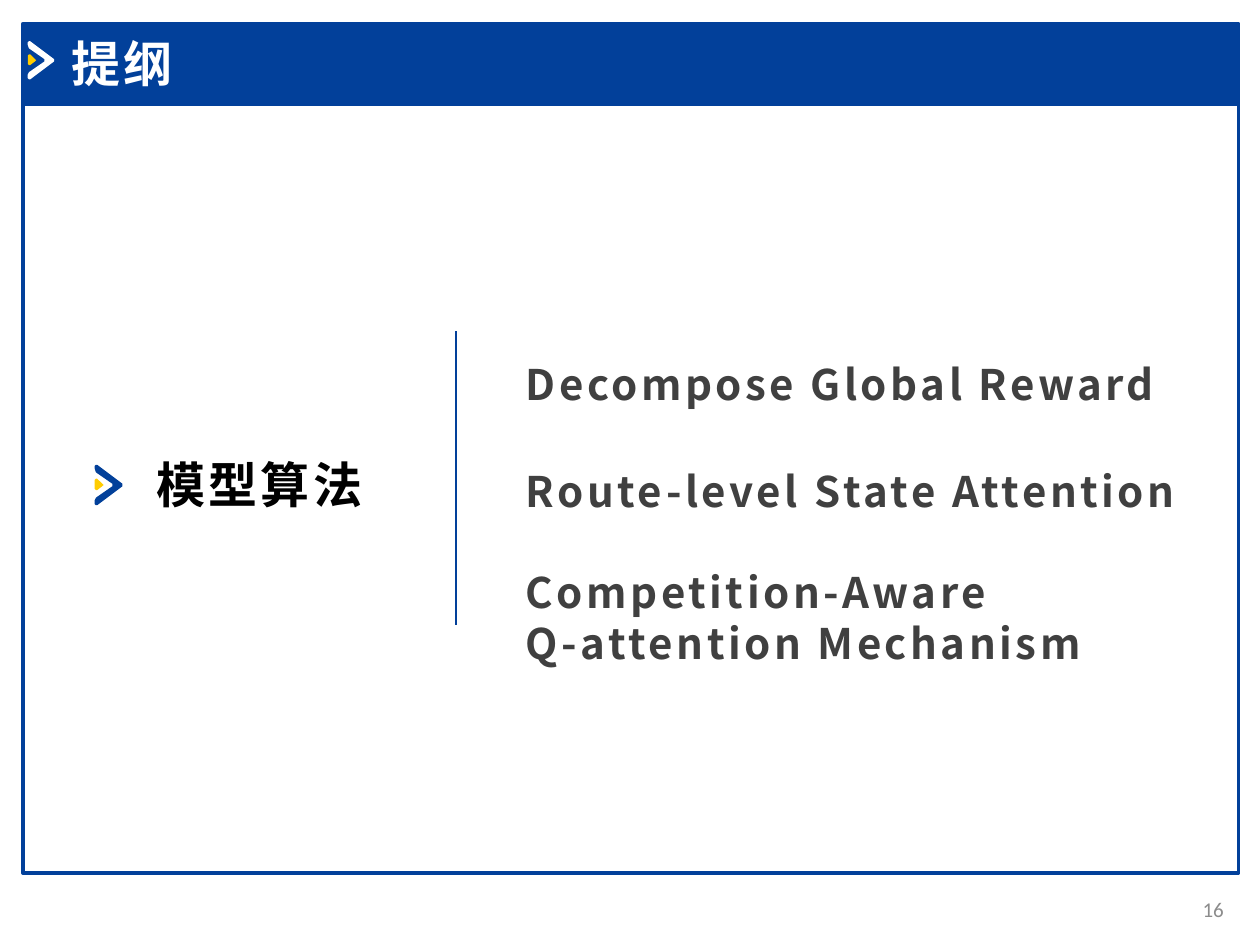
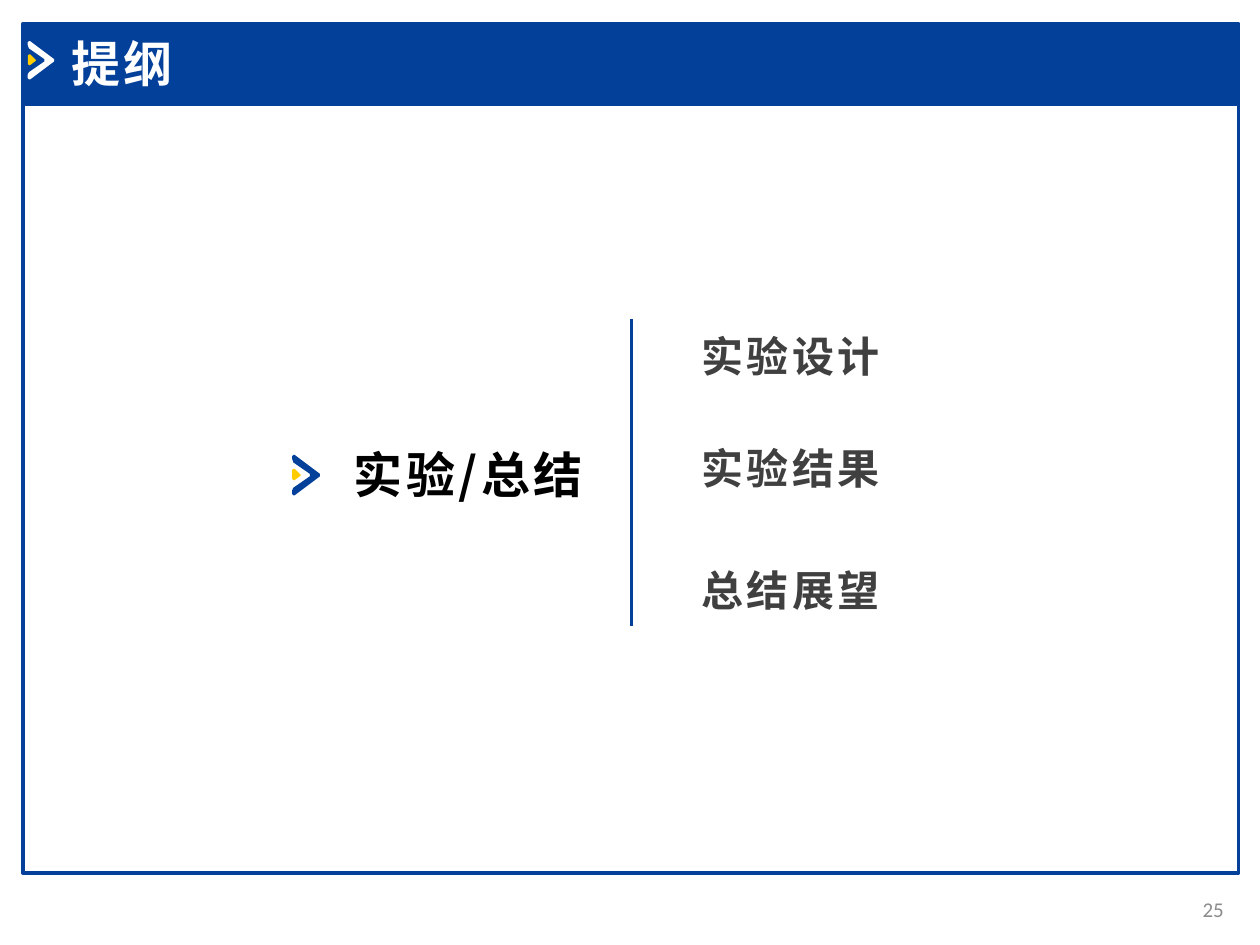
import dataclasses
import typing

import lxml.etree
import pptx
import pptx.dml.color
import pptx.enum.shapes
import pptx.enum.text
import pptx.oxml.ns
import pptx.util

Cm = pptx.util.Cm
Pt = pptx.util.Pt

COLOURS = {
    "blue": "02409A",
    "yellow": "FFCC00",
    "white": "FFFFFF",
    "black": "000000",
    "charcoal": "404040",
    "grey": "8C8C8C",
}
ASIAN_FONT = "Noto Sans CJK SC"
CHEVRON_WING = [
    (1, 0), (0, 1), (0, 3), (1, 6), (14, 15), (14, 17), (1, 26),
    (0, 28), (0, 31), (1, 32), (2, 32), (22, 17), (22, 15), (2, 0),
]
CHEVRON_CORE = [(1, 11), (0, 12), (0, 19), (1, 20), (2, 20), (6, 17), (7, 16), (6, 15), (2, 11)]
CHEVRON_UNITS = 22


@dataclasses.dataclass(frozen=True)
class TextStyle:
    font: str
    size: int
    colour: str
    bold: bool = True
    tracking: int = 2


@dataclasses.dataclass(frozen=True)
class Area:
    left: float
    top: float
    width: float
    height: float

    def lengths(self) -> list[int]:
        return [Cm(value) for value in dataclasses.astuple(self)]


@dataclasses.dataclass(frozen=True)
class Item:
    top: float
    lines: tuple[str, ...]


@dataclasses.dataclass(frozen=True)
class Outline:
    number: int
    topic: str
    topic_left: float
    topic_top: float
    rule_left: float
    rule_top: float
    rule_bottom: float
    item_width: float
    items: tuple[Item, ...]


TITLE = TextStyle("Calibri", 28, "white")
TOPIC = TextStyle(ASIAN_FONT, 28, "black")
ITEM = TextStyle(ASIAN_FONT, 24, "charcoal")
PAGE_NUMBER = TextStyle("Calibri", 12, "grey", bold=False, tracking=0)

OUTLINES = [
    Outline(16, "模型算法", 2.9, 9.04, 9.19, 6.68, 12.6, 14.9, (
        Item(7.11, ("Decompose Global Reward",)),
        Item(9.25, ("Route-level State Attention",)),
        Item(11.3, ("Competition-Aware", "Q-attention Mechanism")),
    )),
    Outline(25, "实验/总结", 6.88, 8.84, 12.73, 6.43, 12.62, 7, (
        Item(6.53, ("实验设计",)),
        Item(8.79, ("实验结果",)),
        Item(11.25, ("总结展望",)),
    )),
]


def rgb(colour: str) -> pptx.dml.color.RGBColor:
    return pptx.dml.color.RGBColor.from_string(COLOURS[colour])


def apply(target: typing.Any, values: dict[str, typing.Any]) -> None:
    for name, value in values.items():
        setattr(target, name, value)


def add_text(page, area: Area, lines: tuple[str, ...], style: TextStyle, **frame_format) -> typing.Any:
    box = page.shapes.add_textbox(*area.lengths())
    frame = box.text_frame
    apply(frame, {"word_wrap": True, **frame_format})
    for index, line in enumerate(lines):
        para = frame.add_paragraph() if index else frame.paragraphs[0]
        span = para.add_run()
        span.text = line
        apply(span.font, {"name": style.font, "size": Pt(style.size), "bold": style.bold})
        span.font.color.rgb = rgb(style.colour)
        properties = span.font._element
        if style.tracking:
            properties.set("spc", str(style.tracking * 100))
        asian = lxml.etree.Element(pptx.oxml.ns.qn("a:ea"), typeface=ASIAN_FONT)
        properties.find(pptx.oxml.ns.qn("a:latin")).addnext(asian)
    return box


def add_heading(page, area: Area, lines: tuple[str, ...], style: TextStyle) -> None:
    add_text(page, area, lines, style, auto_size=pptx.enum.text.MSO_AUTO_SIZE.SHAPE_TO_FIT_TEXT)


def add_panel(page, area: Area, filled: bool) -> None:
    panel = page.shapes.add_shape(pptx.enum.shapes.MSO_SHAPE.RECTANGLE, *area.lengths())
    panel.shadow.inherit = False
    if filled:
        panel.fill.solid()
        panel.fill.fore_color.rgb = rgb("blue")
    else:
        panel.fill.background()
    panel.line.color.rgb = rgb("blue")
    panel.line.width = Pt(2)


def add_chevron(page, left: float, top: float, width: float, wing_colour: str) -> None:
    for points, colour in ((CHEVRON_WING, wing_colour), (CHEVRON_CORE, "yellow")):
        builder = page.shapes.build_freeform(*points[0], scale=Cm(width) / CHEVRON_UNITS)
        builder.add_line_segments(points[1:], close=True)
        part = builder.convert_to_shape(Cm(left), Cm(top))
        part.shadow.inherit = False
        part.fill.solid()
        part.fill.fore_color.rgb = rgb(colour)
        part.line.fill.background()


def add_rule(page, left: float, top: float, bottom: float) -> None:
    rule = page.shapes.add_connector(
        pptx.enum.shapes.MSO_CONNECTOR.STRAIGHT, Cm(left), Cm(top), Cm(left), Cm(bottom)
    )
    rule.line.color.rgb = rgb("blue")
    rule.line.width = Pt(1.5)
    lxml.etree.SubElement(rule._element.spPr, pptx.oxml.ns.qn("a:effectLst"))


def add_page_base(page, number: int) -> None:
    add_panel(page, Area(0.46, 2.11, 24.51, 15.49), filled=False)
    add_panel(page, Area(0.46, 0.48, 24.51, 1.63), filled=True)
    add_chevron(page, 0.56, 0.83, 0.53, "white")
    add_heading(page, Area(1.19, 0.56, 9.04, 1.45), ("提纲",), TITLE)
    box = add_text(
        page, Area(23.42, 17.81, 1.5, 1.02), (str(number),), PAGE_NUMBER,
        vertical_anchor=pptx.enum.text.MSO_ANCHOR.MIDDLE,
    )
    box.text_frame.paragraphs[0].alignment = pptx.enum.text.PP_ALIGN.RIGHT


def add_outline(page, outline: Outline) -> None:
    add_page_base(page, outline.number)
    add_heading(
        page, Area(outline.topic_left, outline.topic_top, 5.46, 1.45), (outline.topic,), TOPIC
    )
    add_chevron(page, outline.topic_left - 0.99, outline.topic_top + 0.33, 0.56, "blue")
    add_rule(page, outline.rule_left, outline.rule_top, outline.rule_bottom)
    for item in outline.items:
        height = 0.25 + 1.03 * len(item.lines)
        area = Area(outline.rule_left + 1.16, item.top, outline.item_width, height)
        add_heading(page, area, item.lines, ITEM)


def main() -> None:
    deck = pptx.Presentation()
    apply(deck, {"slide_width": Cm(25.4), "slide_height": Cm(19.05)})
    for outline in OUTLINES:
        add_outline(deck.slides.add_slide(deck.slide_layouts[6]), outline)
    deck.save("out.pptx")


if __name__ == "__main__":
    main()
